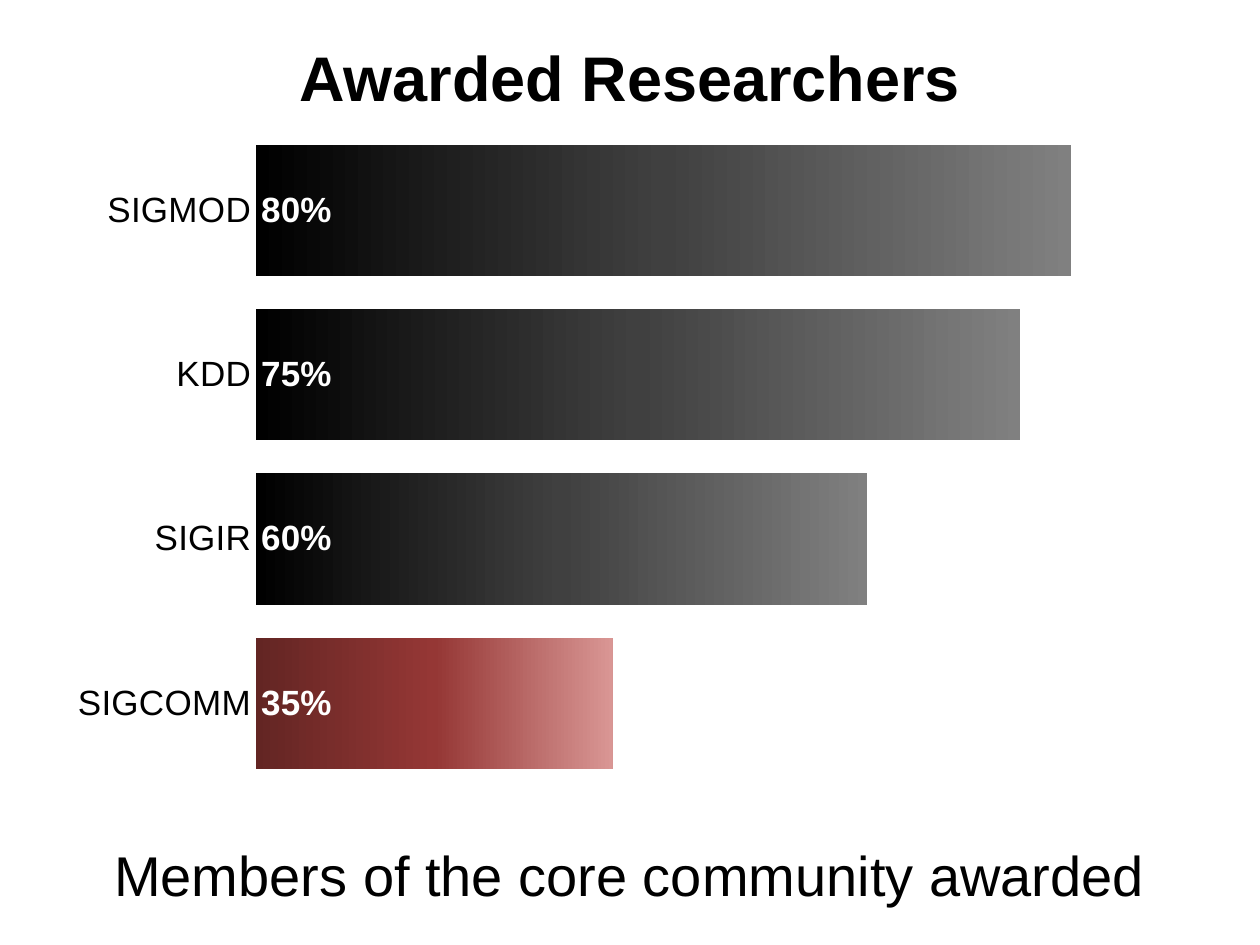
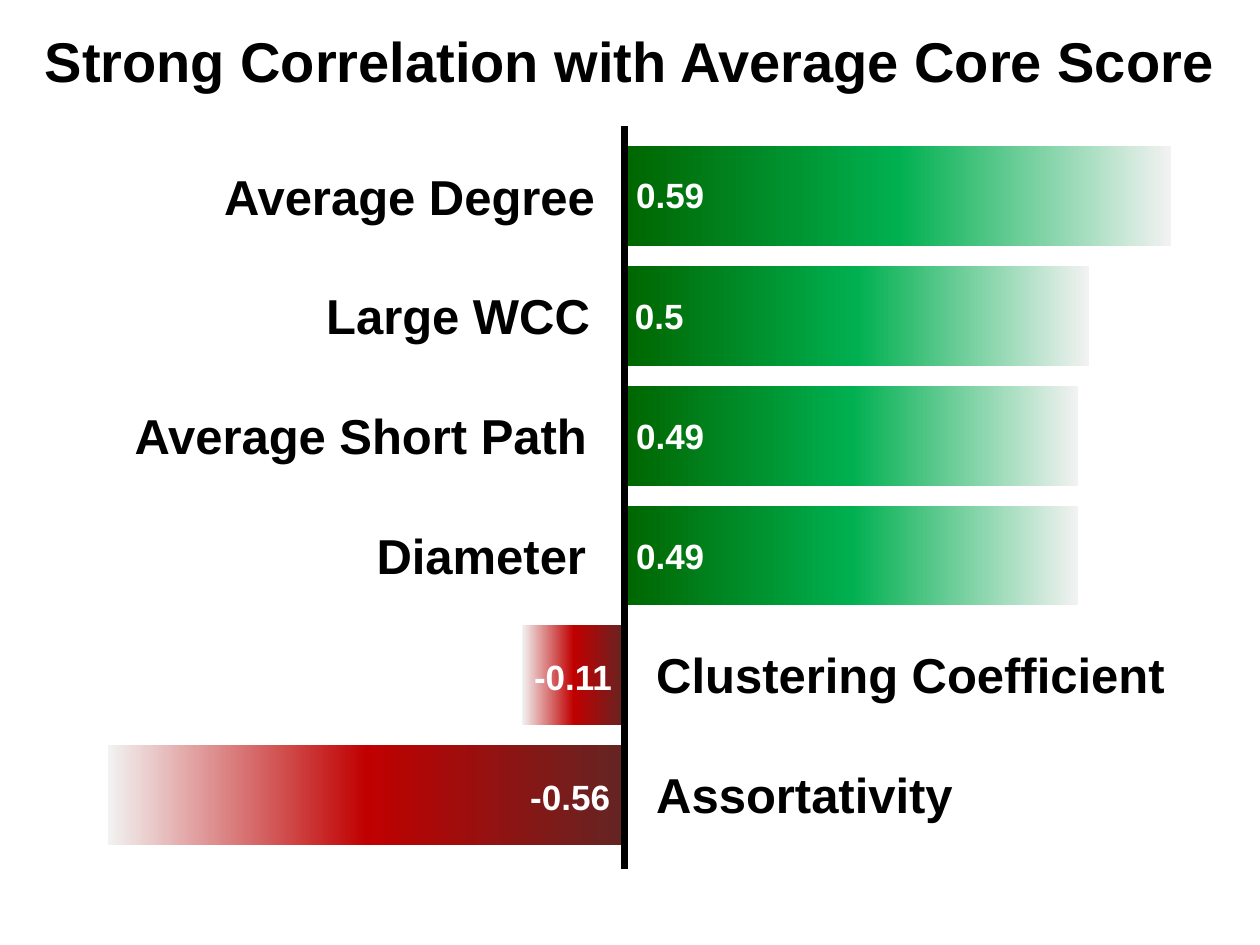
from copy import deepcopy
from lxml.etree import SubElement
from pptx import Presentation
from pptx.chart.data import CategoryChartData as ChartData
from pptx.dml.color import RGBColor
from pptx.enum.chart import XL_CHART_TYPE as CT, XL_LABEL_POSITION as LP
from pptx.enum.chart import XL_TICK_LABEL_POSITION as TLP, XL_TICK_MARK as TM
from pptx.enum.shapes import MSO_CONNECTOR as MC
from pptx.enum.text import MSO_ANCHOR as MA, PP_ALIGN as PA
from pptx.oxml import parse_xml
from pptx.oxml.ns import nsdecls, qn
from pptx.util import Inches, Pt

rgb = RGBColor.from_string
BLACK, WHITE, FONT = "000000", "FFFFFF", "Arial"
GREY = (BLACK, "404040", "808080")
ROSE = ("632523", "953735", "D99694")
GREEN = ("006600", "00B050", "F2F2F2")
RED = ("F2F2F2", "C00000", "632523")

prs = Presentation()
prs.slide_width, prs.slide_height = Inches(10), Inches(7.5)
COL, ROW = prs.slide_width / 100, prs.slide_height / 75


def text(s, words, x, y, w, h, size=28, color=BLACK, bold=True,
         align=PA.LEFT, anchor=MA.TOP, wrap=False):
    tb = s.shapes.add_textbox(int(x * COL), int(y * ROW), int(w * COL), int(h * ROW))
    tf = tb.text_frame
    tf.word_wrap, tf.vertical_anchor = wrap, anchor
    p = tf.paragraphs[0]
    p.alignment = align
    r = p.add_run()
    r.text = words
    r.font.name, r.font.size, r.font.bold = FONT, Pt(size), bold
    r.font.color.rgb = rgb(color)


def bars(s, box, plot_box, cats, vals, ramps, gap, low, high):
    data = ChartData()
    data.categories = cats
    data.add_series("Series 1", vals)
    x, y, w, h = box
    chart = s.shapes.add_chart(CT.BAR_CLUSTERED, int(x * COL), int(y * ROW),
                               int(w * COL), int(h * ROW), data).chart
    chart.has_legend = chart.has_title = False
    chart.font.name, chart.font.size = "Calibri", Pt(18)
    chart.font.color.rgb = rgb(BLACK)
    cat, val = chart.category_axis, chart.value_axis
    cat.reverse_order = True
    val.has_major_gridlines = False
    val.minimum_scale, val.maximum_scale = low, high
    for axis in (cat, val):
        axis.major_tick_mark = axis.minor_tick_mark = TM.NONE
        axis.format.line.fill.background()
    plot = chart.plots[0]
    plot.gap_width, plot.vary_by_categories = gap, False
    series = plot.series[0]
    series.invert_if_negative = False
    for i, ramp in enumerate(ramps):
        fill = series.points[i].format.fill
        fill.gradient()
        fill.gradient_angle = 0
        stops = series._element.findall(".//" + qn("a:gsLst"))[-1]
        stops.insert(1, deepcopy(stops[0]))
        for stop, pos, color in zip(fill.gradient_stops, (0, 0.5, 1), ramp):
            stop.position, stop.color.rgb = pos, rgb(color)
    area = chart._chartSpace.find(".//" + qn("c:plotArea"))
    for old in area.findall(qn("c:layout")):
        area.remove(old)
    sizes = "".join(f'<c:{k} val="{v}"/>' for k, v in zip("xywh", plot_box))
    area.insert(0, parse_xml(
        f'<c:layout {nsdecls("c")}><c:manualLayout><c:layoutTarget val="inner"/>'
        f'<c:xMode val="edge"/><c:yMode val="edge"/>{sizes}'
        '</c:manualLayout></c:layout>'))
    return chart


s = prs.slides.add_slide(prs.slide_layouts[6])
chart = bars(s, (4.3, 9.2, 90.6, 54.3), (0.177, 0.018, 0.803, 0.961),
             ("SIGMOD", "KDD", "SIGIR", "SIGCOMM"), (0.8, 0.75, 0.6, 0.35),
             [GREY] * 3 + [ROSE], 25, 0, 0.9)
chart.value_axis.visible = False
ticks = chart.category_axis.tick_labels.font
ticks.name, ticks.size = FONT, Pt(20)
plot = chart.plots[0]
plot.overlap = 40
plot.has_data_labels = True
labels = plot.data_labels
labels.show_value, labels.position = True, LP.INSIDE_BASE
labels.number_format, labels.number_format_is_linked = "0%", False
labels.font.name, labels.font.size, labels.font.bold = FONT, Pt(20), True
labels.font.color.rgb = rgb(WHITE)
centred = dict(align=PA.CENTER, anchor=MA.MIDDLE, wrap=True)
text(s, "Awarded Researchers", 5, 2.1, 90, 7.9, size=36, **centred)
text(s, "Members of the core community awarded", 0, 64.6, 100, 9.6,
     size=32, bold=False, **centred)

s = prs.slides.add_slide(prs.slide_layouts[6])
chart = bars(s, (-13.8, 8.4, 126.8, 66.6), (0.037, 0.036, 0.927, 0.857),
             "123456", (100, 85, 83, 83, -19, -95),
             [GREEN] * 4 + [RED] * 2, 20, -135.8, 135.8)
for axis in (chart.category_axis, chart.value_axis):
    axis.tick_label_position = TLP.NONE
text(s, "Strong Correlation with Average Core Score", 0, 0.6, 100, 8.4,
     size=32, **centred)
zero = s.shapes.add_connector(MC.STRAIGHT, int(49.6 * COL), int(10 * ROW),
                              int(49.6 * COL), int(69 * ROW))
zero.line.width = Pt(4)
zero.line.color.rgb = rgb(BLACK)
SubElement(zero._element.spPr, qn("a:effectLst"))

measures = [
    ("Average Degree", 16.8, 31.8, "0.59", 49.5, 7.5),
    ("Large WCC", 24.9, 23.2, "0.5", 49.4, 5.9),
    ("Average Short Path", 9.7, 38.4, "0.49", 49.5, 7.5),
    ("Diameter", 28.9, 18.8, "0.49", 49.5, 7.5),
    ("Clustering Coefficient", 51.1, 42.9, "-0.11", 41.4, 8.2),
    ("Assortativity", 51.1, 25.9, "-0.56", 41.1, 8.4),
]
for i, (name, name_x, name_w, score, score_x, score_w) in enumerate(measures):
    text(s, name, name_x, 12.7 + 9.5 * i, name_w, 5.7)
    text(s, score, score_x, 13.3 + 9.55 * i, score_w, 4.4, size=20, color=WHITE)

prs.save("out.pptx")
